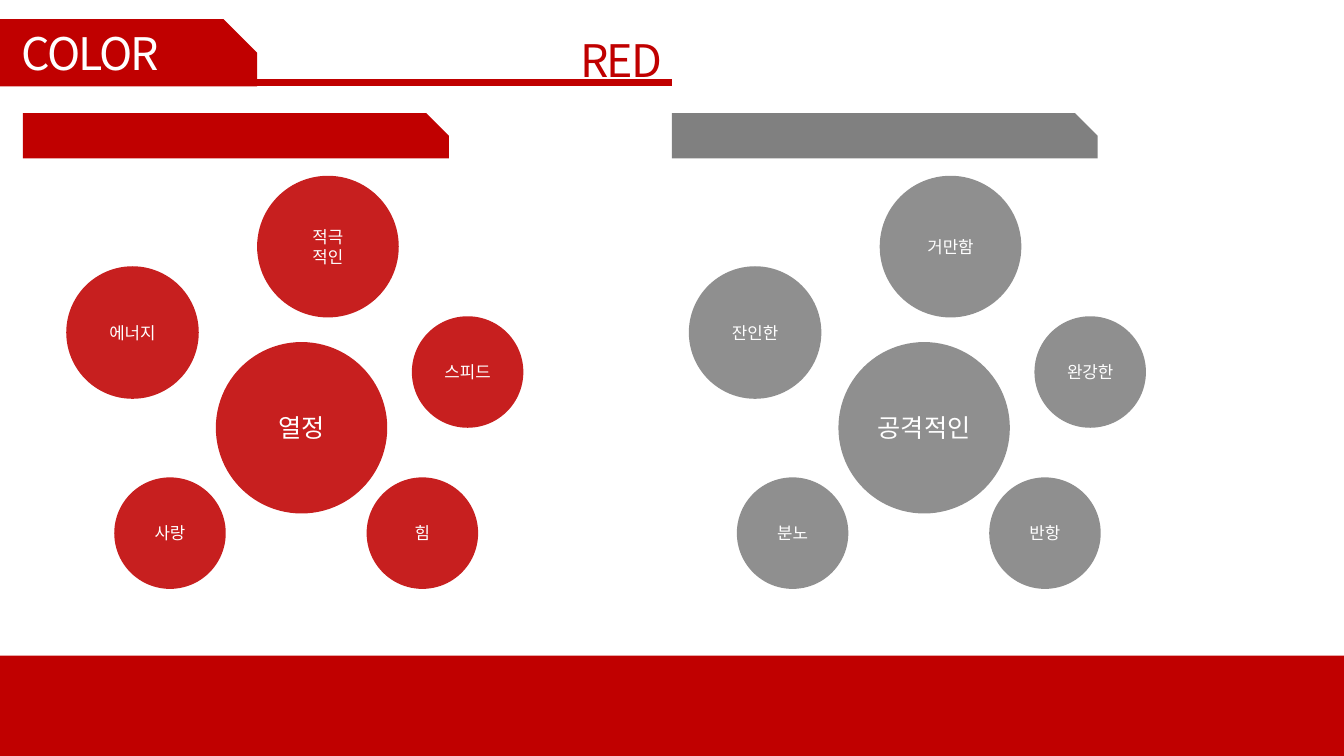
from lxml import etree
from pptx import Presentation
from pptx import util as u
from pptx.dml.color import RGBColor
from pptx.enum import shapes, text
from pptx.oxml import ns

HEX = {"red": "C00000", "gray": "808080", "white": "FFFFFF"}
FONT = "Noto Sans CJK KR"
WIDE, HIGH = 33.87, 19.05

# Bubble layout: left, top, diameter (cm within its box), text size
RING = [
    (3.77, 4.19, 4.32, 18),
    (0, 2.28, 3.34, 12),
    (4.81, 0, 3.57, 12),
    (8.71, 3.54, 2.81, 12),
    (1.21, 7.6, 2.81, 12),
    (7.57, 7.6, 2.81, 12),
]
GOOD = ["열정", "에너지", "적극\n적인", "스피드", "사랑", "힘"]
BAD = ["공격적인", "잔인한", "거만함", "완강한", "분노", "반항"]


def color(name):
    return RGBColor.from_string(HEX[name])


def style(frame, size, tint, align, gap=None):
    for para in frame.paragraphs:
        para.alignment = align
        for run in para.runs:
            run.font.name = FONT
            run.font.size = u.Pt(size)
            run.font.color.rgb = color(tint)
            # East Asian font and letter spacing
            props = run._r.get_or_add_rPr()
            east = etree.Element(ns.qn("a:ea"), typeface=FONT)
            props.find(ns.qn("a:latin")).addnext(east)
            if gap is not None:
                props.set("spc", str(gap))


def place(shape, box):
    shape.left, shape.top, shape.width, shape.height = map(u.Cm, box)


def block(slide, kind, box, tint):
    shape = slide.shapes.add_shape(kind, *map(u.Cm, box))
    shape.shadow.inherit = False
    shape.fill.solid()
    shape.fill.fore_color.rgb = color(tint)
    shape.line.fill.background()
    return shape


def tab(slide, box, tint):
    shape = block(slide, shapes.MSO_SHAPE.SNIP_1_RECTANGLE, box, tint)
    shape.adjustments[0] = 0.5
    return shape


def label(shape, words, tint, align):
    frame = shape.text_frame
    frame.text = words
    frame.word_wrap = True
    frame.vertical_anchor = text.MSO_ANCHOR.TOP
    frame.auto_size = text.MSO_AUTO_SIZE.SHAPE_TO_FIT_TEXT
    style(frame, 32, tint, align, -150)


def header(slide, box):
    left, top, width, height = box
    flag = tab(slide, (left, top, 6.48, height), "red")

    # Title sits on the tab
    title = slide.shapes.title
    flag.element.addnext(title.element)
    place(title, (left + 0.3, top + 0.03, 6.17, 1.62))
    label(title, "COLOR", "white", text.PP_ALIGN.LEFT)

    # Rule from the tab to the right edge of the header
    level = u.Cm(top + 1.6)
    rule = slide.shapes.add_connector(
        shapes.MSO_CONNECTOR.STRAIGHT,
        u.Cm(left + 4.29), level, u.Cm(left + width), level)
    rule.line.color.rgb = color("red")
    rule.line.width = u.Pt(4.75)
    etree.SubElement(rule.element.spPr, ns.qn("a:effectLst"))

    # Color name above the rule
    name = slide.shapes.add_textbox(0, 0, 0, 0)
    place(name, (left + width - 8.05, top + 0.23, 8.05, 1.62))
    label(name, "RED", "red", text.PP_ALIGN.RIGHT)


def cluster(slide, box, words, tint):
    left, top = box
    for word, (across, down, size, points) in zip(words, RING):
        ball = block(slide, shapes.MSO_SHAPE.OVAL,
                     (left + across, top + down, size, size), tint)
        fill = ball.element.spPr.find(ns.qn("a:solidFill"))
        etree.SubElement(fill[0], ns.qn("a:alpha"), val="88000")
        frame = ball.text_frame
        frame.text = word
        frame.word_wrap = True
        frame.margin_left = frame.margin_right = 0
        frame.vertical_anchor = text.MSO_ANCHOR.MIDDLE
        style(frame, points, "white", text.PP_ALIGN.CENTER)


def main():
    deck = Presentation()
    deck.slide_width, deck.slide_height = u.Cm(WIDE), u.Cm(HIGH)
    slide = deck.slides.add_slide(deck.slide_layouts[5])

    # Footer band
    block(slide, shapes.MSO_SHAPE.RECTANGLE,
          (0, HIGH - 2.53, WIDE, 2.53), "red")
    header(slide, (0, 0.48, WIDE / 2, 1.7))

    # Two sides: banner and bubbles
    sides = [(0.58, 1.67, GOOD, "red"), (16.93, 17.36, BAD, "gray")]
    for edge, start, words, tint in sides:
        tab(slide, (edge, 2.85, 10.73, 1.14), tint)
        cluster(slide, (start, 4.43), words, tint)

    deck.save("out.pptx")


if __name__ == "__main__":
    main()
